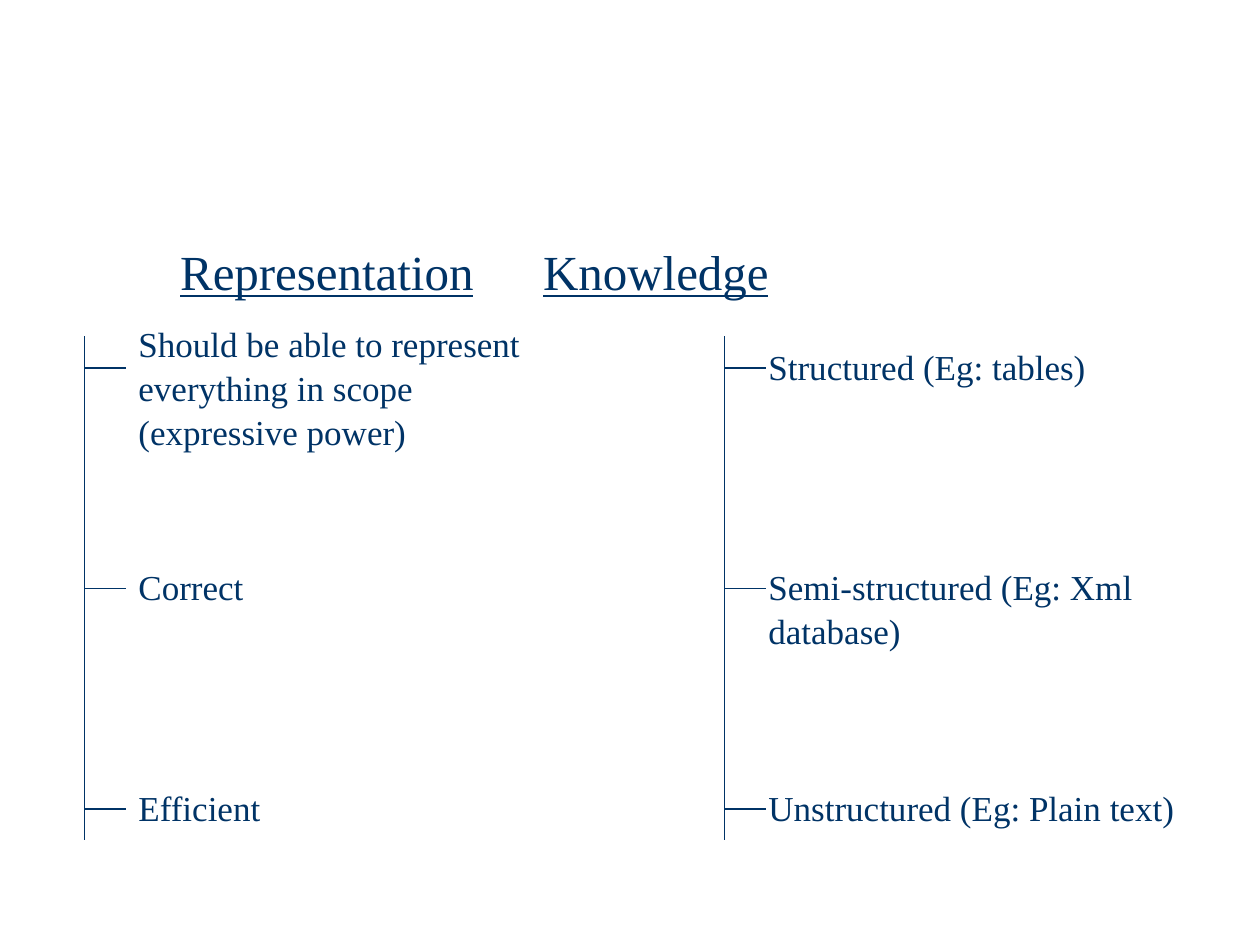
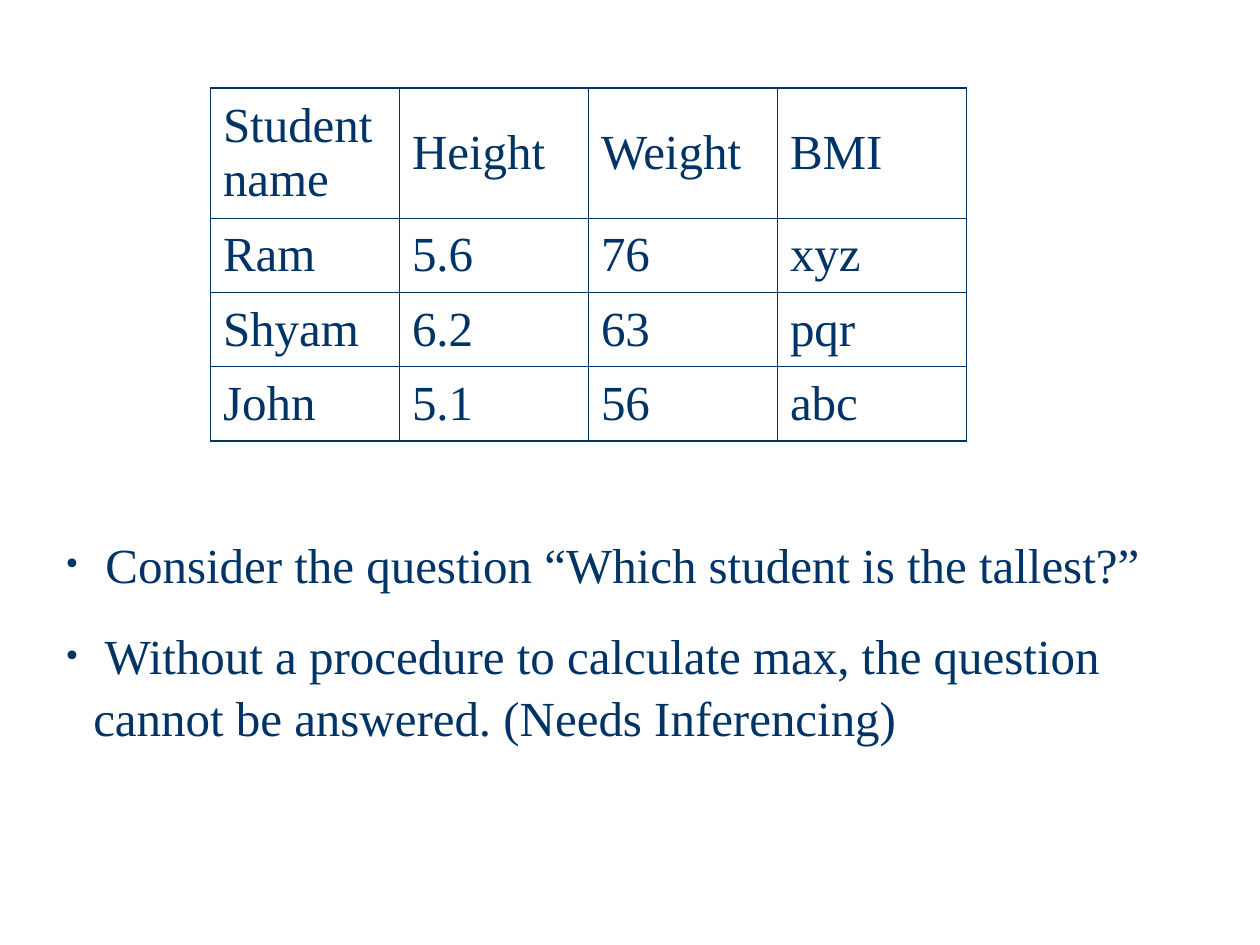
from lxml import etree
from pptx import Presentation
from pptx.dml.color import RGBColor
from pptx.enum.shapes import MSO_CONNECTOR
from pptx.enum.text import MSO_ANCHOR, MSO_AUTO_SIZE
from pptx.oxml.ns import qn
from pptx.util import Inches, Pt

STRAIGHT = MSO_CONNECTOR.STRAIGHT
MIDDLE, TOP = MSO_ANCHOR.MIDDLE, MSO_ANCHOR.TOP
NO_AUTOFIT, GROW = MSO_AUTO_SIZE.NONE, MSO_AUTO_SIZE.SHAPE_TO_FIT_TEXT

NAVY = "003366"
FONT = "Times New Roman"
LARGE, SMALL = 28, 20
LINE_SPACING = 1.04

HEADINGS = [("Representation", True), ("\t\t", False), ("Knowledge", True)]
BRANCHES = [
    {"trunk": 0.67, "label": 1, "traits": [
        ("Should be able to represent everything in scope (expressive power)", 3.25, 1.1, 0.18),
        ("Correct", 1.25, 0.44, 0),
        ("Efficient", 1.25, 0.44, 0),
    ]},
    {"trunk": 5.75, "label": 6, "traits": [
        ("Structured (Eg: tables)", 2.75, 0.44, 0),
        ("Semi-structured (Eg: Xml database)", 3.75, 0.77, 0),
        ("Unstructured (Eg: Plain text)", 3.67, 0.44, 0),
    ]},
]
TRUNK_TOP, TRUNK_BOTTOM = 2.67, 6.67
FIRST_TWIG, TWIG_STEP, TWIG_LENGTH = 2.92, 1.75, 0.33
LABEL_RISE = 0.24

STUDENTS = [
    ("Student name", "Height", "Weight", "BMI"),
    ("Ram", "5.6", "76", "xyz"),
    ("Shyam", "6.2", "63", "pqr"),
    ("John", "5.1", "56", "abc"),
]
ROW_HEIGHTS = [1.03, 0.59, 0.59, 0.59]
COLUMN_WIDTH = 1.5
OUTER_BORDER, INNER_BORDER = 1.08, 0.45
POINTS = [
    " Consider the question “Which student is the tallest?”",
    " Without a procedure to calculate max, the question cannot be answered. (Needs Inferencing)",
]


def rgb(hex_colour):
    """Turn a hex string into a colour."""
    return RGBColor.from_string(hex_colour)


def style(paragraph, size, before, spacing=None):
    """Give a paragraph the shared font and its spacing."""
    paragraph.space_before = Pt(before)
    if spacing:
        paragraph.line_spacing = spacing
    for run in paragraph.runs:
        run.font.name = FONT
        run.font.size = Pt(size)
        run.font.color.rgb = rgb(NAVY)


def child(parent, tag, **attributes):
    """Append an XML child with attributes."""
    element = etree.SubElement(parent, qn(tag))
    for name, value in attributes.items():
        element.set(name, str(value))
    return element


def hang(paragraph, indent):
    """Set a hanging indent and return the paragraph properties."""
    properties = paragraph._p.get_or_add_pPr()
    properties.set("marL", str(Inches(indent)))
    properties.set("indent", str(-Inches(indent)))
    return properties


def add_slide(deck, left, top, width, height):
    """Add a slide without a title and return it with its placed body."""
    slide = deck.slides.add_slide(deck.slide_layouts[1])
    title = slide.shapes.title._element
    title.getparent().remove(title)
    body = slide.placeholders[1]
    body.left, body.top = Inches(left), Inches(top)
    body.width, body.height = Inches(width), Inches(height)
    body.text_frame.auto_size = NO_AUTOFIT
    body.text_frame.vertical_anchor = TOP
    return slide, body.text_frame


def add_line(slide, x1, y1, x2, y2):
    """Draw a thin line without a shadow."""
    line = slide.shapes.add_connector(
        STRAIGHT, Inches(x1), Inches(y1), Inches(x2), Inches(y2))
    line.line.color.rgb = rgb(NAVY)
    line.line.width = Pt(0.75)
    child(line._element.spPr, "a:effectLst")


def add_label(slide, text, left, top, width, height):
    """Add the wrapped text of one twig."""
    frame = slide.shapes.add_textbox(
        Inches(left), Inches(top), Inches(width), Inches(height)).text_frame
    frame.word_wrap = True
    frame.auto_size = GROW
    frame.text = text
    style(frame.paragraphs[0], SMALL, 12.5, LINE_SPACING)


def add_branch(slide, branch):
    """Draw a trunk with evenly spaced twigs and their labels."""
    trunk = branch["trunk"]
    add_line(slide, trunk, TRUNK_TOP, trunk, TRUNK_BOTTOM)
    for index, (trait, width, height, lift) in enumerate(branch["traits"]):
        y = FIRST_TWIG + index * TWIG_STEP
        add_line(slide, trunk, y, trunk + TWIG_LENGTH, y)
        add_label(slide, trait, branch["label"], y - LABEL_RISE - lift, width, height)


def build_branches(deck):
    """Build the slide on representation and knowledge."""
    slide, body = add_slide(deck, 1.33, 1.92, 8.5, 0.53)
    heading = body.paragraphs[0]
    for text, underlined in HEADINGS:
        run = heading.add_run()
        run.text = text
        run.font.underline = underlined
    style(heading, LARGE, 7, 0.9)
    properties = hang(heading, 0.38)
    child(properties, "a:buNone")
    tabs = child(properties, "a:tabLst")
    for inch in range(8):
        child(tabs, "a:tab", pos=Inches(inch), algn="l")
    for branch in BRANCHES:
        add_branch(slide, branch)


def set_borders(cell, outer_sides):
    """Draw the cell's four borders, heavier on the table's edge."""
    properties = cell._tc.get_or_add_tcPr()
    for side, outer in zip("LRTB", outer_sides):
        width = OUTER_BORDER if outer else INNER_BORDER
        border = child(properties, "a:ln" + side, w=Pt(width))
        child(child(border, "a:solidFill"), "a:srgbClr", val=NAVY)


def add_students(slide):
    """Add the table of students."""
    last_row, last_column = len(STUDENTS) - 1, len(STUDENTS[0]) - 1
    table = slide.shapes.add_table(
        last_row + 1, last_column + 1, Inches(1.67), Inches(0.7),
        Inches(COLUMN_WIDTH * (last_column + 1)), Inches(sum(ROW_HEIGHTS))).table
    table.first_row = table.horz_banding = False
    for column in table.columns:
        column.width = Inches(COLUMN_WIDTH)
    for r, student in enumerate(STUDENTS):
        table.rows[r].height = Inches(ROW_HEIGHTS[r])
        for c, value in enumerate(student):
            cell = table.cell(r, c)
            cell.text_frame.text = value
            cell.vertical_anchor = MIDDLE
            style(cell.text_frame.paragraphs[0], LARGE, 7)
            set_borders(cell, (c == 0, c == last_column, r == 0, r == last_row))
            cell.fill.background()


def build_students(deck):
    """Build the slide with the student table and its question."""
    slide, body = add_slide(deck, 0.42, 4.17, 8.92, 1.75)
    add_students(slide)
    body.text = "\n".join(POINTS)
    for point in body.paragraphs:
        style(point, LARGE, 17.5, LINE_SPACING)
        properties = hang(point, 0.22)
        child(child(properties, "a:buClr"), "a:srgbClr", val=NAVY)
        child(properties, "a:buSzPct", val=75000)
        child(properties, "a:buFont", typeface=FONT)
        child(properties, "a:buChar", char="•")


def main():
    """Build and save the deck."""
    deck = Presentation()
    deck.slide_width, deck.slide_height = Inches(10), Inches(7.5)
    build_branches(deck)
    build_students(deck)
    deck.save("out.pptx")


if __name__ == "__main__":
    main()
